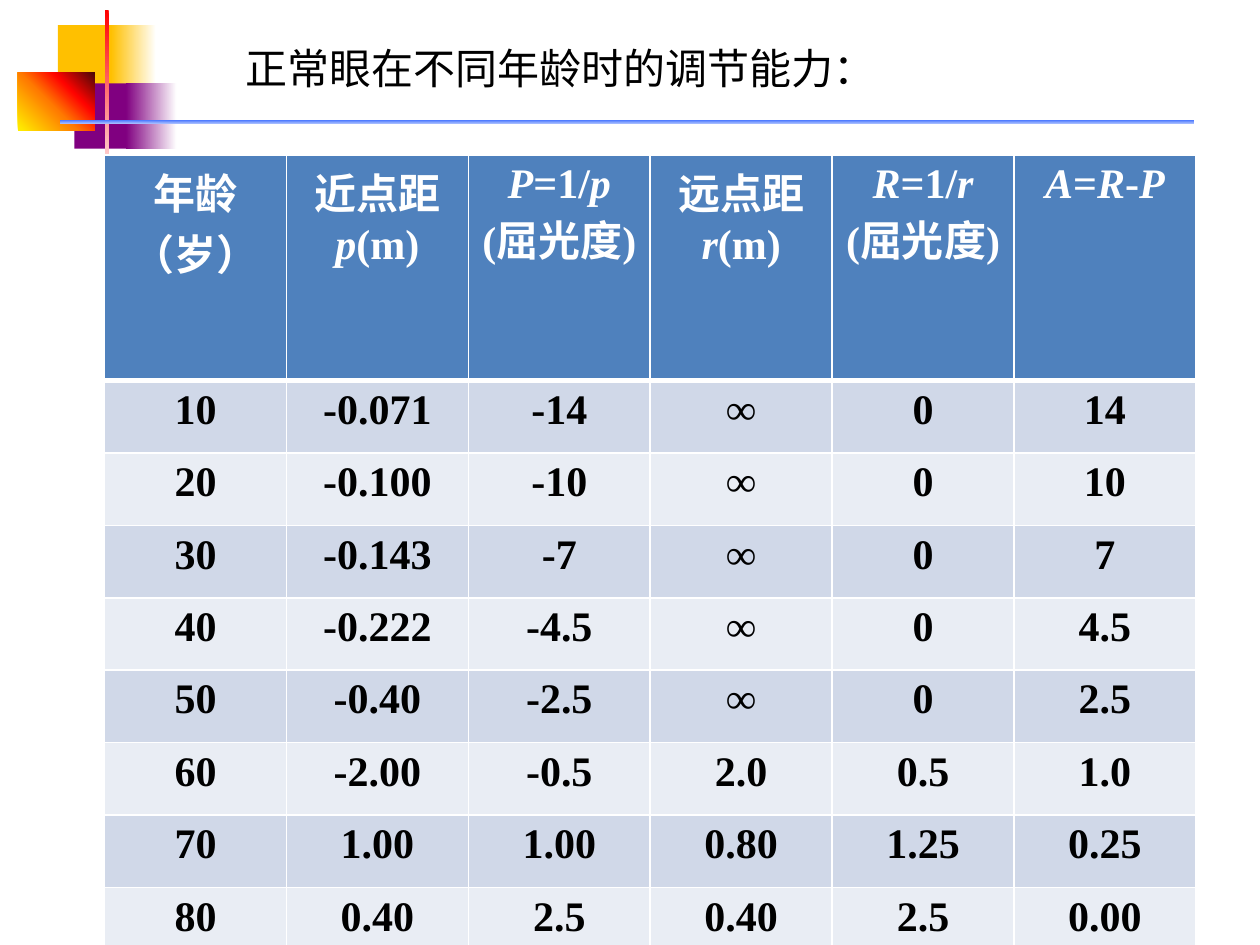
from lxml import etree
from pptx import Presentation
from pptx.dml.color import RGBColor
from pptx.enum.shapes import MSO_SHAPE
from pptx.enum.text import PP_ALIGN
from pptx.oxml.ns import qn
from pptx.util import Cm, Pt

RECTANGLE = MSO_SHAPE.RECTANGLE
LEFT, CENTER = PP_ALIGN.LEFT, PP_ALIGN.CENTER

COLORS = {
    "white": "FFFFFF", "black": "000000", "header": "4F81BD",
    "odd_row": "D0D8E8", "even_row": "E9EDF4",
    "gold": "FFC000", "purple": "800080", "red": "FF0000", "pink": "FFC9C9",
    "blue": "3366FF", "pale_blue": "A2B9FF",
    "yellow": "FFF200", "orange": "FF7A00", "scarlet": "FF0300", "maroon": "4D0808",
}

# Each header cell is a list of paragraphs; each paragraph a list of (text, italic)
DIOPTRES = [("(屈光度)", False)]
HEADERS = [
    [[("年龄", False)], [("（岁）", False)]],
    [[("近点距", False), ("p", True), ("(m)", False)]],
    [[("P", True), ("=1/", False), ("p", True)], DIOPTRES],
    [[("远点距", False), ("r", True), ("(m)", False)]],
    [[("R", True), ("=1/", False), ("r", True)], DIOPTRES],
    [[("A", True), ("=", False), ("R", True), ("-", False), ("P", True)]],
]
ROWS = [
    ("10", "-0.071", "-14", "∞", "0", "14"),
    ("20", "-0.100", "-10", "∞", "0", "10"),
    ("30", "-0.143", "-7", "∞", "0", "7"),
    ("40", "-0.222", "-4.5", "∞", "0", "4.5"),
    ("50", "-0.40", "-2.5", "∞", "0", "2.5"),
    ("60", "-2.00", "-0.5", "2.0", "0.5", "1.0"),
    ("70", "1.00", "1.00", "0.80", "1.25", "0.25"),
    ("80", "0.40", "2.5", "0.40", "2.5", "0.00"),
]


class SlideBuilder:
    latin_font = "Times New Roman"
    chinese_font = "Noto Sans CJK SC"
    text_size = Pt(24)

    def __init__(self, slide):
        self.slide = slide

    def color(self, name):
        return RGBColor.from_string(COLORS[name])

    def add_paragraphs(self, frame, paragraphs, color, font, bold=False, align=LEFT):
        for index, runs in enumerate(paragraphs):
            paragraph = frame.paragraphs[0] if index == 0 else frame.add_paragraph()
            paragraph.alignment = align
            for text, italic in runs:
                run = paragraph.add_run()
                run.text = text
                run.font.size = self.text_size
                run.font.bold = bold
                run.font.italic = italic
                run.font.color.rgb = self.color(color)
                run.font.name = font
                east_asian = etree.SubElement(run.font._element, qn("a:ea"))
                east_asian.set("typeface", self.chinese_font)

    def block(self, left, top, width, height, stops, angle=0):
        """Rectangle with a plain fill (one stop) or a clockwise gradient."""
        shape = self.slide.shapes.add_shape(
            RECTANGLE, Cm(left), Cm(top), Cm(width), Cm(height))
        shape.shadow.inherit = False
        shape.line.fill.background()
        if len(stops) == 1:
            shape.fill.solid()
            shape.fill.fore_color.rgb = self.color(stops[0][1])
            return
        shape.fill.gradient()
        shape.fill.gradient_angle = (360 - angle) % 360
        stop_list = shape._element.spPr.find(".//" + qn("a:gsLst"))
        for stop in list(stop_list):
            stop_list.remove(stop)
        for position, name in stops:
            stop = etree.SubElement(stop_list, qn("a:gs"), pos=str(position * 1000))
            etree.SubElement(stop, qn("a:srgbClr"), val=COLORS[name])

    def text(self, left, top, width, height, content):
        frame = self.slide.shapes.add_textbox(
            Cm(left), Cm(top), Cm(width), Cm(height)).text_frame
        frame.word_wrap = True
        self.add_paragraphs(frame, [[(content, False)]], "black", self.chinese_font)

    def cell(self, cell, paragraphs, color, fill, top=1, bottom=1):
        properties = cell._tc.get_or_add_tcPr()
        for side, width in (("L", 1), ("R", 1), ("T", top), ("B", bottom)):
            line = etree.SubElement(properties, qn("a:ln" + side), w=str(int(Pt(width))))
            line_fill = etree.SubElement(line, qn("a:solidFill"))
            etree.SubElement(line_fill, qn("a:srgbClr"), val=COLORS["white"])
        cell.fill.solid()
        cell.fill.fore_color.rgb = self.color(fill)
        self.add_paragraphs(cell.text_frame, paragraphs, color,
                            self.latin_font, True, CENTER)

    def table(self, left, top, width, header_height, row_height, headers, rows):
        height = header_height + row_height * len(rows)
        table = self.slide.shapes.add_table(
            len(rows) + 1, len(headers), Cm(left), Cm(top), Cm(width), Cm(height)).table
        for column in table.columns:
            column.width = Cm(width / len(headers))
        for index, row in enumerate(table.rows):
            row.height = Cm(row_height if index else header_height)
        for column, paragraphs in enumerate(headers):
            self.cell(table.cell(0, column), paragraphs, "white", "header", bottom=3)
        for index, values in enumerate(rows, start=1):
            fill = "odd_row" if index % 2 else "even_row"
            for column, value in enumerate(values):
                self.cell(table.cell(index, column), [[(value, False)]],
                          "black", fill, top=3 if index == 1 else 1)


def main():
    presentation = Presentation()
    presentation.slide_width, presentation.slide_height = Cm(25.4), Cm(19.05)
    builder = SlideBuilder(presentation.slides.add_slide(presentation.slide_layouts[6]))

    # Corner decoration and rule under the title
    builder.block(1.17, 0.51, 1.22, 1.32, [(0, "gold")])
    builder.block(2.24, 0.51, 0.91, 1.32, [(0, "gold"), (100, "white")])
    builder.block(1.5, 1.68, 1.17, 1.32, [(0, "purple")])
    builder.block(2.54, 1.68, 1.02, 1.32, [(0, "purple"), (100, "white")])
    builder.block(0.36, 1.47, 1.55, 1.17,
                  [(0, "yellow"), (45, "orange"), (70, "scarlet"), (100, "maroon")], 315)
    builder.block(2.11, 0.2, 0.08, 2.92, [(0, "red"), (100, "pink")], 90)
    builder.block(1.22, 2.41, 22.86, 0.08, [(0, "blue"), (100, "pale_blue")], 90)

    # Accommodation by age
    builder.table(2.11, 3.12, 22, 4.55, 1.46, HEADERS, ROWS)

    # Title
    builder.text(4.7, 0.74, 13.2, 1.27, "正常眼在不同年龄时的调节能力：")

    presentation.save("out.pptx")


if __name__ == "__main__":
    main()
